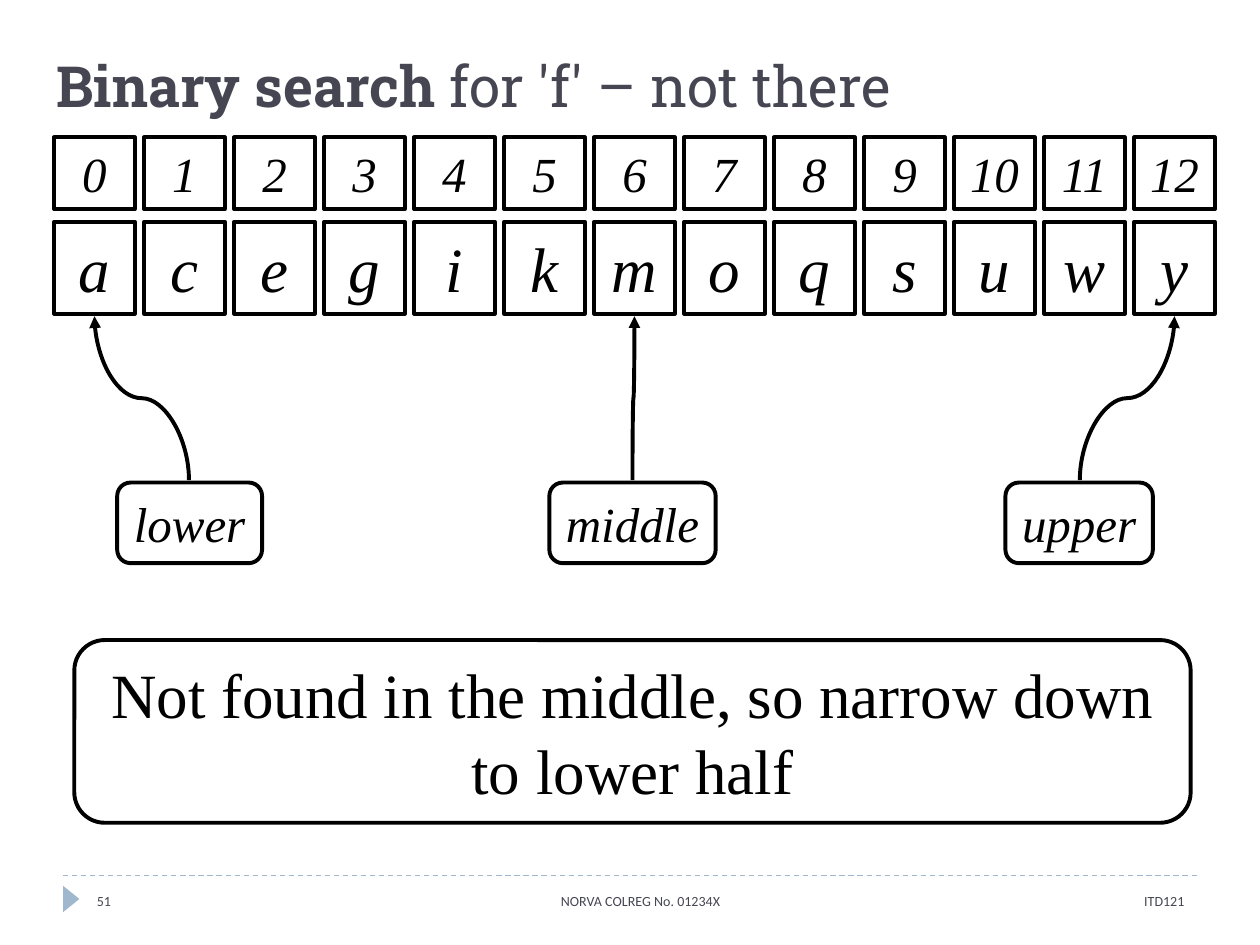
from typing import NamedTuple

from pptx import Presentation, util as u
from pptx.dml.color import RGBColor
from pptx.enum import dml, shapes, text
from pptx.oxml.ns import qn
from lxml import etree

INK, SLATE, BLUE = "000000", "464653", "9FB8CD"
SERIF = "Times New Roman"
BOX, ROUNDED = shapes.MSO_SHAPE.RECTANGLE, shapes.MSO_SHAPE.FLOWCHART_ALTERNATE_PROCESS
LEFT, CENTER, RIGHT = text.PP_ALIGN.LEFT, text.PP_ALIGN.CENTER, text.PP_ALIGN.RIGHT

# Array grid: left edge, column pitch and cell width in inches
GRID_LEFT, PITCH, CELL_W = 0.43, 5 / 7, 0.64
ARROW_TOP, ARROW_BOTTOM = 2.51, 3.81


class Row(NamedTuple):
    values: list[str]
    top: float
    height: float
    size: float


class Pointer(NamedTuple):
    name: str
    column: int
    left: float
    width: float
    tail_x: float


class Footer(NamedTuple):
    words: str
    left: float
    width: float
    align: text.PP_ALIGN


ROWS = [
    Row([str(n) for n in range(13)], 1.09, 0.57, 28),
    Row(list("acegikmoqsuwy"), 1.76, 0.73, 36),
]
POINTERS = [
    Pointer("lower", 0, 0.93, 1.15, 1.5),
    Pointer("middle", 6, 4.36, 1.32, 5.02),
    Pointer("upper", 12, 7.98, 1.17, 8.57),
]
FOOTERS = [
    Footer("51", 0.67, 2.17, LEFT),
    Footer("NORVA COLREG No. 01234X", 3.17, 3.83, CENTER),
    Footer("ITD121", 7, 2.5, RIGHT),
]


def color(hex_code: str) -> RGBColor:
    return RGBColor.from_string(hex_code)


def inches(*lengths: float) -> list[int]:
    return [u.Inches(n) for n in lengths]


def set_font(font, name: str, size: float, hex_code: str, italic: bool = False) -> None:
    font.name, font.size, font.italic = name, u.Pt(size), italic
    font.color.rgb = color(hex_code)


def add_box(s, kind, at: tuple, words: str, size: float,
            italic: bool = True, wrap: bool = True) -> None:
    """Outlined, unfilled shape with centred serif text."""
    sp = s.shapes.add_shape(kind, *inches(*at))
    sp.shadow.inherit = False
    sp.fill.background()
    sp.line.color.rgb, sp.line.width = color(INK), u.Pt(2.25)
    tf = sp.text_frame
    tf.word_wrap, tf.vertical_anchor = wrap, text.MSO_ANCHOR.MIDDLE
    tf.auto_size = text.MSO_AUTO_SIZE.SHAPE_TO_FIT_TEXT
    p = tf.paragraphs[0]
    p.text, p.alignment = words, CENTER
    set_font(p.font, SERIF, size, INK, italic)


def add_text(s, at: tuple, anchor):
    """Empty wrapping text box; returns its first paragraph."""
    tf = s.shapes.add_textbox(*inches(*at)).text_frame
    tf.word_wrap, tf.vertical_anchor = True, anchor
    return tf.paragraphs[0]


def add_line(s, kind, ends: tuple, hex_code: str, width: float):
    line = s.shapes.add_connector(kind, *inches(*ends))
    line.line.color.rgb, line.line.width = color(hex_code), u.Pt(width)
    etree.SubElement(line._element.spPr, qn("a:effectLst"))
    return line


def add_curved_arrow(s, tail_x: float, head_x: float) -> None:
    """S-curve rising from a pointer label to its cell.

    A curved connector leaves sideways, so it is laid flat about the
    midpoint and then turned to leave upwards.
    """
    mid_x, mid_y = (tail_x + head_x) / 2, (ARROW_TOP + ARROW_BOTTOM) / 2
    run, rise = abs(head_x - tail_x) / 2, (ARROW_BOTTOM - ARROW_TOP) / 2
    leans_left = head_x < tail_x
    start = rise if leans_left else -rise
    arrow = add_line(s, shapes.MSO_CONNECTOR.CURVE,
                     (mid_x + start, mid_y - run, mid_x - start, mid_y + run), INK, 2.25)
    sp_pr = arrow._element.spPr
    sp_pr.find(qn("a:xfrm")).set("rot", str((90 if leans_left else 270) * 60000))
    etree.SubElement(sp_pr.find(qn("a:ln")), qn("a:tailEnd"), type="triangle")


def add_footer(s) -> None:
    rule = add_line(s, shapes.MSO_CONNECTOR.STRAIGHT, (0.5, 6.95, 9.5, 6.95), BLUE, 0.75)
    rule.line.dash_style = dml.MSO_LINE.DASH
    marker = s.shapes.add_shape(shapes.MSO_SHAPE.ISOSCELES_TRIANGLE,
                                *inches(0.46, 7.07, 0.21, 0.13))
    marker.rotation, marker.shadow.inherit = 90, False
    marker.fill.solid()
    marker.fill.fore_color.rgb = color(BLUE)
    marker.line.fill.background()
    for item in FOOTERS:
        p = add_text(s, (item.left, 6.95, item.width, 0.4), text.MSO_ANCHOR.MIDDLE)
        p.text, p.alignment = item.words, item.align
        set_font(p.font, "Calibri", 8, SLATE)


def main() -> None:
    prs = Presentation()
    prs.slide_width, prs.slide_height = inches(10, 7.5)
    s = prs.slides.add_slide(prs.slide_layouts[6])
    add_footer(s)

    # Title
    p = add_text(s, (0.35, 0.36, 9, 0.63), text.MSO_ANCHOR.BOTTOM)
    set_font(p.font, "Roboto Slab", 32.4, SLATE)
    for words, bold in (("Binary search ", True), ("for 'f' – not there", False)):
        r = p.add_run()
        r.text, r.font.bold = words, bold

    # Index row and letter row
    for row in ROWS:
        for column, value in enumerate(row.values):
            at = (GRID_LEFT + column * PITCH, row.top, CELL_W, row.height)
            add_box(s, BOX, at, value, row.size)

    # Search pointers
    for ptr in POINTERS:
        add_curved_arrow(s, ptr.tail_x, GRID_LEFT + ptr.column * PITCH + CELL_W / 2)
        add_box(s, ROUNDED, (ptr.left, 3.83, ptr.width, 0.64), ptr.name, 28, wrap=False)

    # Conclusion
    add_box(s, ROUNDED, (0.59, 5.08, 8.86, 1.45),
            "Not found in the middle, so narrow down to lower half", 36, italic=False)

    prs.save("out.pptx")


if __name__ == "__main__":
    main()
